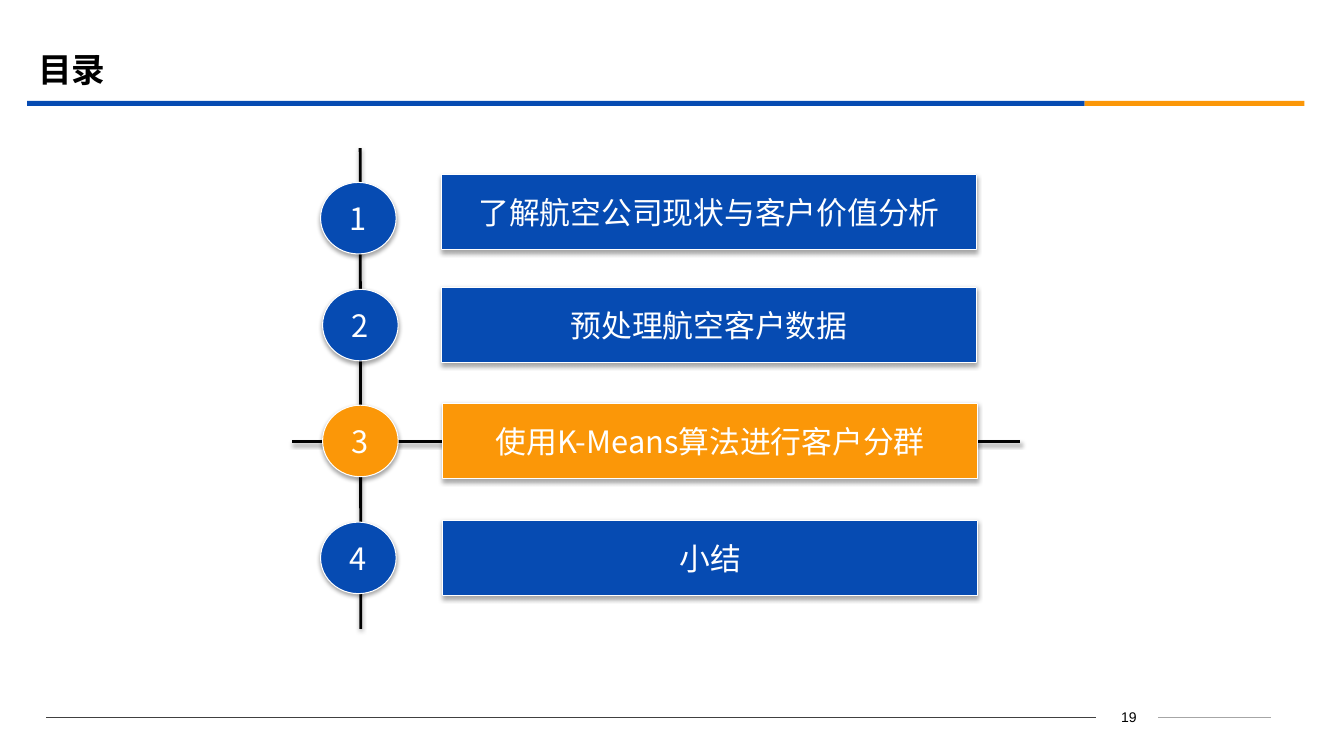
from dataclasses import dataclass

from lxml import etree
from pptx import Presentation
from pptx import util as u
from pptx.dml.color import RGBColor
from pptx.enum import shapes, text
from pptx.oxml import ns

BLUE = RGBColor(0x06, 0x4B, 0xB2)
ORANGE = RGBColor(0xFB, 0x97, 0x08)
WHITE = RGBColor(0xFF, 0xFF, 0xFF)
BLACK = RGBColor(0x00, 0x00, 0x00)
DARK_GREY = RGBColor(0x40, 0x40, 0x40)
LIGHT_GREY = RGBColor(0xA6, 0xA6, 0xA6)
CJK = "Noto Sans CJK SC"

# Grid: 40 columns by 30 rows over the whole slide
WIDTH, HEIGHT = u.Inches(13.33), u.Inches(7.5)
COLS, ROWS = 40, 30
CIRCLE_W, CIRCLE_H = 2.25, 2.84
BAR_W, BAR_H = 15.93, 3


@dataclass
class Box:
    col: float
    row: float
    cols: float
    rows: float

    def emu(self) -> tuple[int, int, int, int]:
        return x(self.col), y(self.row), x(self.cols), y(self.rows)


@dataclass
class Line:
    start: tuple[float, float]
    end: tuple[float, float]
    color: RGBColor
    width: float = 0.75
    shadow: bool = False


@dataclass
class Chapter:
    title: str
    circle_col: float
    circle_row: float
    bar_col: float
    bar_row: float
    color: RGBColor = BLUE


RULES = [
    (Box(0.81, 4, 31.47, 0.2), BLUE),
    (Box(32.28, 4, 6.54, 0.2), ORANGE),
]
LINES = [
    Line((34.47, 28.48), (37.83, 28.48), LIGHT_GREY),
    Line((1.38, 28.48), (32.61, 28.48), DARK_GREY),
    Line((10.72, 5.88), (10.74, 24.96), BLACK, 2, True),
    Line((8.7, 17.52), (30.37, 17.52), BLACK, 2, True),
]
CHAPTERS = [
    Chapter("了解航空公司现状与客户价值分析", 9.54, 7.24, 13.14, 6.92),
    Chapter("预处理航空客户数据", 9.6, 11.48, 13.14, 11.4),
    Chapter("使用K-Means算法进行客户分群", 9.6, 16.08, 13.17, 16, ORANGE),
    Chapter("小结", 9.54, 20.72, 13.17, 20.64),
]


def x(cols: float) -> int:
    return round(WIDTH * cols / COLS)


def y(rows: float) -> int:
    return round(HEIGHT * rows / ROWS)


def set_effects(sp, opacity: int = 0, dist: float = 0) -> None:
    """Give the shape a downward shadow, or an empty effect list."""
    effects = etree.SubElement(sp._element.spPr, ns.qn("a:effectLst"))
    if opacity:
        shadow = etree.SubElement(
            effects, ns.qn("a:outerShdw"), blurRad=str(u.Pt(3.1)),
            dist=str(u.Pt(dist)), dir="5400000", rotWithShape="0")
        color = etree.SubElement(shadow, ns.qn("a:srgbClr"), val=str(BLACK))
        etree.SubElement(color, ns.qn("a:alpha"), val=str(opacity * 1000))


def write(sp, words: str, size: float, color: RGBColor, font: str = CJK,
          bold: bool = False, centred: bool = True, wrap: bool = True) -> None:
    tf = sp.text_frame
    tf.word_wrap = wrap
    tf.vertical_anchor = text.MSO_ANCHOR.MIDDLE
    p = tf.paragraphs[0]
    p.alignment = text.PP_ALIGN.CENTER if centred else text.PP_ALIGN.LEFT
    r = p.add_run()
    r.text = words
    r.font.size, r.font.bold, r.font.name = u.Pt(size), bold, font
    r.font.color.rgb = color
    etree.SubElement(r.font._element, ns.qn("a:ea"), typeface=font)


def add_line(s, line: Line) -> None:
    sp = s.shapes.add_connector(
        shapes.MSO_CONNECTOR.STRAIGHT, x(line.start[0]), y(line.start[1]),
        x(line.end[0]), y(line.end[1]))
    sp.line.color.rgb = line.color
    sp.line.width = u.Pt(line.width)
    set_effects(sp, 38 if line.shadow else 0, 1.6)


def add_button(s, kind: shapes.MSO_SHAPE, box: Box, color: RGBColor,
               words: str) -> None:
    sp = s.shapes.add_shape(kind, *box.emu())
    sp.fill.solid()
    sp.fill.fore_color.rgb = color
    sp.line.color.rgb = WHITE
    sp.line.width = u.Pt(0.75)
    set_effects(sp, 35, 1.8)
    write(sp, words, 22, WHITE, wrap=False)


def add_rule(s, box: Box, color: RGBColor) -> None:
    sp = s.shapes.add_shape(shapes.MSO_SHAPE.RECTANGLE, *box.emu())
    sp.shadow.inherit = False
    sp.fill.solid()
    sp.fill.fore_color.rgb = color
    sp.line.fill.background()


def main() -> None:
    prs = Presentation()
    prs.slide_width, prs.slide_height = WIDTH, HEIGHT
    s = prs.slides.add_slide(prs.slide_layouts[6])

    # Title rule, footer lines and the crossing axes
    for box, color in RULES:
        add_rule(s, box, color)
    for line in LINES:
        add_line(s, line)

    # Title and page number
    title = s.shapes.add_textbox(*Box(0.84, 1.56, 36, 2.32).emu())
    write(title, "目录", 24, BLACK, bold=True, centred=False)
    page = s.shapes.add_textbox(*Box(32.67, 27.96, 1.86, 1).emu())
    write(page, "19", 10, BLACK, font="Arial")

    # Numbered chapters
    for number, c in enumerate(CHAPTERS, 1):
        add_button(s, shapes.MSO_SHAPE.ACTION_BUTTON_CUSTOM,
                   Box(c.bar_col, c.bar_row, BAR_W, BAR_H), c.color, c.title)
        add_button(s, shapes.MSO_SHAPE.OVAL,
                   Box(c.circle_col, c.circle_row, CIRCLE_W, CIRCLE_H),
                   c.color, str(number))

    prs.save("out.pptx")


if __name__ == "__main__":
    main()
